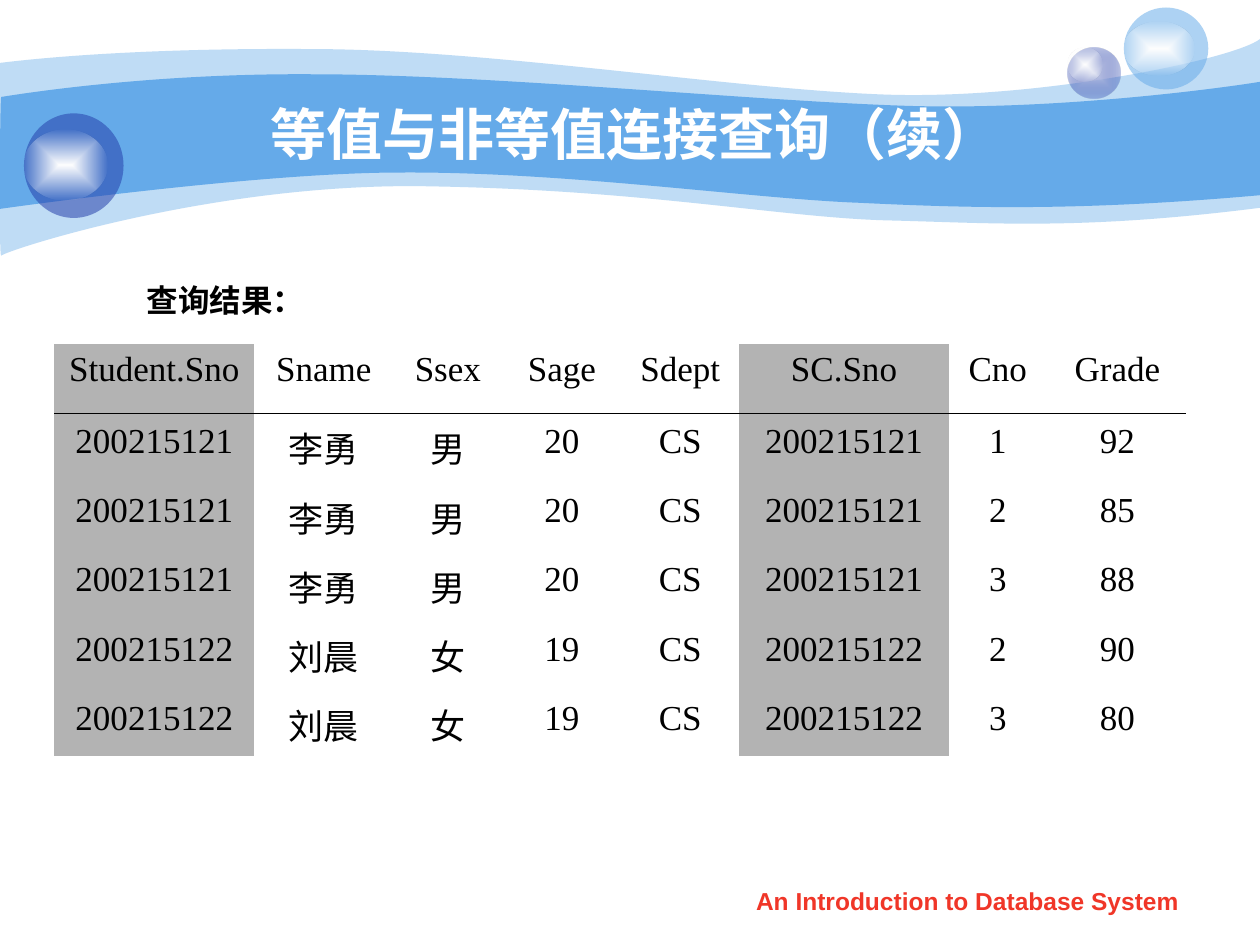
"""Build the slide that shows the result table of an equi-join query."""
from dataclasses import dataclass

from lxml import etree
from pptx import Presentation
from pptx import util as u
from pptx.dml.color import RGBColor
from pptx.enum import shapes, text
from pptx.oxml.ns import qn

PX = u.Inches(1) // 100
NO_GRID = "{2D5ABB26-0587-4C30-8999-92F81FD0307C}"


@dataclass(frozen=True)
class Theme:
    sky: str = "65AAE9"
    navy: str = "233DA9"
    mist: str = "C6CCE8"
    white: str = "FFFFFF"
    gloss: str = "FEFEFE"
    ink: str = "000000"
    key: str = "B3B3B3"
    red: str = "F03628"
    sans: str = "Arial"
    serif: str = "Times New Roman"
    title: int = 32
    cell: int = 20
    label: int = 18
    footer: int = 14
    hang: int = 38


def emu(*lengths):
    return [n * PX for n in lengths]


def bend(segments):
    for i in range(0, len(segments), 3):
        curve = etree.Element(qn("a:cubicBezTo"))
        segments[i].addprevious(curve)
        for seg in segments[i:i + 3]:
            curve.append(seg[0])
            seg.getparent().remove(seg)


def set_alpha(color, percent):
    etree.SubElement(color, qn("a:alpha"), val=str(percent * 1000))


class Deck:
    def __init__(self, slide, theme):
        self.s, self.t = slide, theme

    def style(self, tf, size, font, color, bold=False, hang=0):
        for p in tf.paragraphs:
            p.alignment = text.PP_ALIGN.CENTER
            if hang:
                pPr = p._p.get_or_add_pPr()
                pPr.set("marL", str(hang * PX))
                pPr.set("indent", str(-hang * PX))
            for r in p.runs:
                r.font.size, r.font.name, r.font.bold = u.Pt(size), font, bold
                r.font.color.rgb = RGBColor.from_string(color)

    def solid(self, sp, color, alpha=100):
        sp.shadow.inherit = False
        sp.line.fill.background()
        sp.fill.solid()
        sp.fill.fore_color.rgb = RGBColor.from_string(color)
        if alpha < 100:
            set_alpha(sp.element.spPr.find(".//" + qn("a:srgbClr")), alpha)

    def glow(self, sp, inner, outer, alpha):
        sp.shadow.inherit = False
        sp.line.fill.background()
        sp.fill.gradient()
        for stop, color in zip(sp.fill.gradient_stops, (inner, outer)):
            stop.color.rgb = RGBColor.from_string(color)
        grad = sp.element.spPr.find(qn("a:gradFill"))
        set_alpha(grad.findall(".//" + qn("a:srgbClr"))[-1], alpha)
        grad.remove(grad.find(qn("a:lin")))
        rect = etree.Element(qn("a:path"), path="rect")
        etree.SubElement(rect, qn("a:fillToRect"), l="50000", t="50000", r="50000", b="50000")
        grad.find(qn("a:gsLst")).addnext(rect)

    def wave(self, top, bottom, alpha=100):
        pts = [emu(*pt) for pt in top + bottom]
        fb = self.s.shapes.build_freeform(*pts[0], scale=1.0)
        fb.add_line_segments(pts[1:], close=True)
        sp = fb.convert_to_shape()
        segments = sp.element.spPr.findall(".//" + qn("a:lnTo"))
        bend(segments[:len(top) - 1])
        bend(segments[len(top):len(pts) - 1])
        self.solid(sp, self.t.sky, alpha)

    def oval(self, box):
        return self.s.shapes.add_shape(shapes.MSO_SHAPE.OVAL, *emu(*box))

    def ball(self, box, shine, color, alpha, inner=None):
        sp = self.oval(box)
        if inner:
            self.glow(sp, inner, color, alpha)
        else:
            self.solid(sp, color, alpha)
        self.glow(self.oval(shine), self.t.white, self.t.gloss, 0)

    def title(self, box, words):
        sp = self.s.shapes.title
        self.s.shapes.element.append(sp.element)
        sp.left, sp.top, sp.width, sp.height = emu(*box)
        tf = sp.text_frame
        tf.text = words
        tf.vertical_anchor = text.MSO_ANCHOR.MIDDLE
        tf.auto_size = text.MSO_AUTO_SIZE.NONE
        self.style(tf, self.t.title, self.t.sans, self.t.white, True)

    def label(self, box, words, size, font, color, wrap=True, hang=0):
        tf = self.s.shapes.add_textbox(*emu(*box)).text_frame
        tf.text = words
        tf.word_wrap = wrap
        if not wrap:
            tf.auto_size = text.MSO_AUTO_SIZE.SHAPE_TO_FIT_TEXT
        self.style(tf, size, font, color, True, hang)

    def table(self, left, top, widths, heights, rows, keys):
        box = emu(left, top, sum(widths), sum(heights))
        tbl = self.s.shapes.add_table(len(rows), len(widths), *box).table
        tbl.first_row = tbl.horz_banding = False
        tbl._tbl.tblPr.find(qn("a:tableStyleId")).text = NO_GRID
        for col, w in zip(tbl.columns, emu(*widths)):
            col.width = w
        for row, h, values in zip(tbl.rows, emu(*heights), rows):
            row.height = h
            for i, (cell, value) in enumerate(zip(row.cells, values)):
                cell.text_frame.text = value
                self.style(cell.text_frame, self.t.cell, self.t.serif, self.t.ink, hang=self.t.hang)
                if i in keys:
                    cell.fill.solid()
                    cell.fill.fore_color.rgb = RGBColor.from_string(self.t.key)
                else:
                    cell.fill.background()

    def rule(self, x1, y1, x2, y2):
        ln = self.s.shapes.add_connector(shapes.MSO_CONNECTOR.STRAIGHT, *emu(x1, y1, x2, y2))
        ln.line.color.rgb = RGBColor.from_string(self.t.ink)
        ln.line.width = u.Pt(0.75)
        etree.SubElement(ln.element.spPr, qn("a:effectLst"))


def main():
    prs = Presentation()
    prs.slide_width, prs.slide_height = emu(1000, 750)
    t = Theme()
    d = Deck(prs.slides.add_slide(prs.slide_layouts[5]), t)

    d.wave([(0, 50), (24, 47), (107, 38), (247, 39), (386, 39), (575, 70), (699, 75),
            (822, 80), (980, 47), (1000, 31)],
           [(1000, 165), (858, 183), (787, 177), (705, 175), (622, 173), (515, 151), (343, 148),
            (172, 144), (4, 199), (1, 203), (-1, 208), (0, 75), (0, 50)], 41)
    d.wave([(1, 77), (2, 77), (110, 58), (248, 59), (386, 59), (595, 80), (718, 84),
            (841, 88), (976, 69), (1000, 65)],
           [(1000, 155), (853, 168), (765, 165), (682, 161), (599, 158), (447, 136), (317, 137),
            (203, 137), (-2, 166), (-1, 166), (0, 166), (0, 77), (1, 77)])
    d.ball((847, 38, 42, 40), (847, 38, 28, 27), t.navy, 31, t.mist)
    d.ball((892, 6, 67, 65), (892, 17, 56, 43), t.sky, 53)
    d.ball((19, 90, 79, 83), (19, 103, 66, 56), t.navy, 53)

    d.title((100, 75, 808, 62), "等值与非等值连接查询（续）")
    li, liu = ("200215121", "李勇", "男", "20"), ("200215122", "刘晨", "女", "19")
    grades = [(li, "1", "92"), (li, "2", "85"), (li, "3", "88"), (liu, "2", "90"), (liu, "3", "80")]
    rows = [("Student.Sno", "Sname", "Ssex", "Sage", "Sdept", "SC.Sno", "Cno", "Grade")]
    rows += [(*who, "CS", who[0], cno, grade) for who, cno, grade in grades]
    d.table(43, 273, (159, 110, 87, 94, 94, 166, 78, 112), (57, 55, 55, 55, 55, 47), rows, (0, 5))
    d.label((69, 218, 220, 40), "查询结果：", t.label, t.serif, t.ink, wrap=False, hang=t.hang)
    d.rule(43, 328, 941, 328)
    d.label((571, 698, 394, 35), "An Introduction to Database System", t.footer, t.sans, t.red)

    prs.save("out.pptx")


if __name__ == "__main__":
    main()
